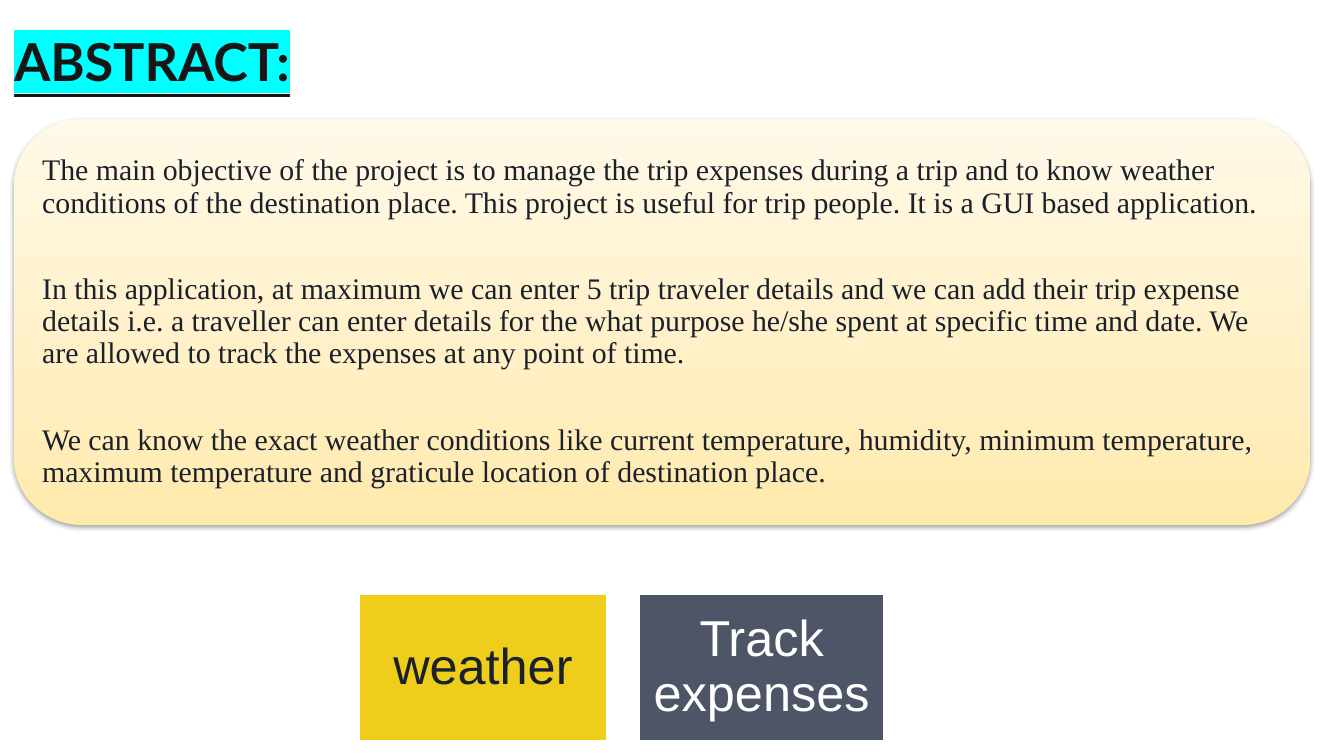
"""Build the abstract slide: a title, a rounded text card and two topic tiles."""
from dataclasses import dataclass
from typing import Any

from lxml import etree
from pptx import Presentation
from pptx import util as u
from pptx.dml import color
from pptx.enum import shapes, text
from pptx.oxml import ns

PX = 9525
HUES = {
    "ink": "161616", "navy": "1B212C", "white": "FFFFFF", "cyan": "00FFFF",
    "gold": "EECE1A", "slate": "4E5567", "black": "000000",
    "sand": "FFE9AB", "cream": "FFEFC3", "milk": "FFF9E8",
}
FADE = {0: "sand", 35: "cream", 100: "milk"}
GOALS = (
    "The main objective of the project is to manage the trip expenses during a trip "
    "and to know weather conditions of the destination place. This project is useful "
    "for trip people. It is a GUI based application.",
    "In this application, at maximum we can enter 5 trip traveler details and we can "
    "add their trip expense details i.e. a traveller can enter details for the what "
    "purpose he/she spent at specific time and date. We are allowed to track the "
    "expenses at any point of time.",
    "We can know the exact weather conditions like current temperature, humidity, "
    "minimum temperature, maximum temperature and graticule location of destination "
    "place.",
)


@dataclass(frozen=True)
class Tile:
    """A topic tile with its place, width and colours."""
    label: str
    left: int
    width: int
    fill: str
    ink: str


TILES = (
    Tile("weather", 256, 178, "gold", "navy"),
    Tile("Track expenses", 456, 176, "slate", "white"),
)


def px(*sizes: int) -> list[int]:
    """Turn px lengths into EMU."""
    return [size * PX for size in sizes]


def rgb(hue: str) -> color.RGBColor:
    """Look up a named colour."""
    return color.RGBColor.from_string(HUES[hue])


def apply(target: Any, form: dict[str, Any]) -> None:
    """Set each attribute of the target from the format values."""
    for name, value in form.items():
        setattr(target, name, value)


def add_xml(parent: Any, tag: str, **attrs: Any) -> Any:
    """Append a drawing element with the given attributes."""
    return etree.SubElement(parent, ns.qn(tag), {k: str(v) for k, v in attrs.items()})


def write(shape: Any, lines: tuple[str, ...], pad: int, anchor: Any,
          ink: str, para: dict[str, Any], font: dict[str, Any], gap: int = 0) -> None:
    """Write styled paragraphs into a shape."""
    frame = shape.text_frame
    sides = ("left", "top", "right", "bottom")
    apply(frame, {f"margin_{side}": pad * PX for side in sides}
          | {"word_wrap": True, "vertical_anchor": anchor})
    for i, line in enumerate(lines):
        par = frame.add_paragraph() if i else frame.paragraphs[0]
        run = par.add_run()
        run.text = line
        apply(par, para)
        if i:
            par.space_before = u.Pt(gap)
        apply(run.font, font)
        run.font.color.rgb = rgb(ink)


def add_title(slide: Any) -> None:
    """Draw the highlighted title."""
    box = slide.shapes.add_textbox(*px(0, 0, 420, 76))
    write(box, ("ABSTRACT:",), 10, text.MSO_ANCHOR.BOTTOM, "ink", {},
          {"name": "Lato", "size": u.Pt(28), "bold": True, "underline": True})
    props = box.text_frame.paragraphs[0].runs[0].font._element
    mark = add_xml(props, "a:highlight")
    add_xml(mark, "a:srgbClr", val=HUES["cyan"])
    props.find(ns.qn("a:solidFill")).addnext(mark)


def add_card(slide: Any) -> None:
    """Draw the rounded card with its fade, shadow and text."""
    card = slide.shapes.add_shape(shapes.MSO_SHAPE.ROUNDED_RECTANGLE,
                                  *px(10, 85, 926, 290))
    card.line.fill.background()
    card.shadow.inherit = False
    card.fill.gradient()
    card.fill.gradient_angle = 90
    props = card._element.spPr
    stops = props.find(ns.qn("a:gradFill")).find(ns.qn("a:gsLst"))
    for stop in list(stops):
        stops.remove(stop)
    for place, hue in FADE.items():
        stop = add_xml(stops, "a:gs", pos=place * 1000)
        add_xml(stop, "a:srgbClr", val=HUES[hue])
    shade = add_xml(props.find(ns.qn("a:effectLst")), "a:outerShdw",
                    blurRad=u.Pt(3.1), dist=u.Pt(1.6), dir=5400000, rotWithShape=0)
    tint = add_xml(shade, "a:srgbClr", val=HUES["black"])
    add_xml(tint, "a:alpha", val=38000)
    write(card, GOALS, 6, text.MSO_ANCHOR.MIDDLE, "navy",
          {"alignment": text.PP_ALIGN.LEFT, "line_spacing": 0.9},
          {"name": "Times New Roman", "size": u.Pt(16)}, gap=29)


def add_tile(slide: Any, tile: Tile) -> None:
    """Draw one topic tile."""
    box = slide.shapes.add_shape(shapes.MSO_SHAPE.RECTANGLE,
                                 *px(tile.left, 424, tile.width, 106))
    box.shadow.inherit = False
    box.fill.solid()
    box.fill.fore_color.rgb = rgb(tile.fill)
    box.line.color.rgb = rgb("white")
    box.line.width = u.Pt(2)
    write(box, (tile.label,), 10, text.MSO_ANCHOR.MIDDLE, tile.ink,
          {"alignment": text.PP_ALIGN.CENTER, "line_spacing": 0.9},
          {"name": "Arial", "size": u.Pt(27)})


def main() -> None:
    """Build and save the slide."""
    deck = Presentation()
    deck.slide_width, deck.slide_height = px(960, 540)
    slide = deck.slides.add_slide(deck.slide_layouts[6])
    add_title(slide)
    add_card(slide)
    for tile in TILES:
        add_tile(slide, tile)
    deck.save("out.pptx")


if __name__ == "__main__":
    main()
